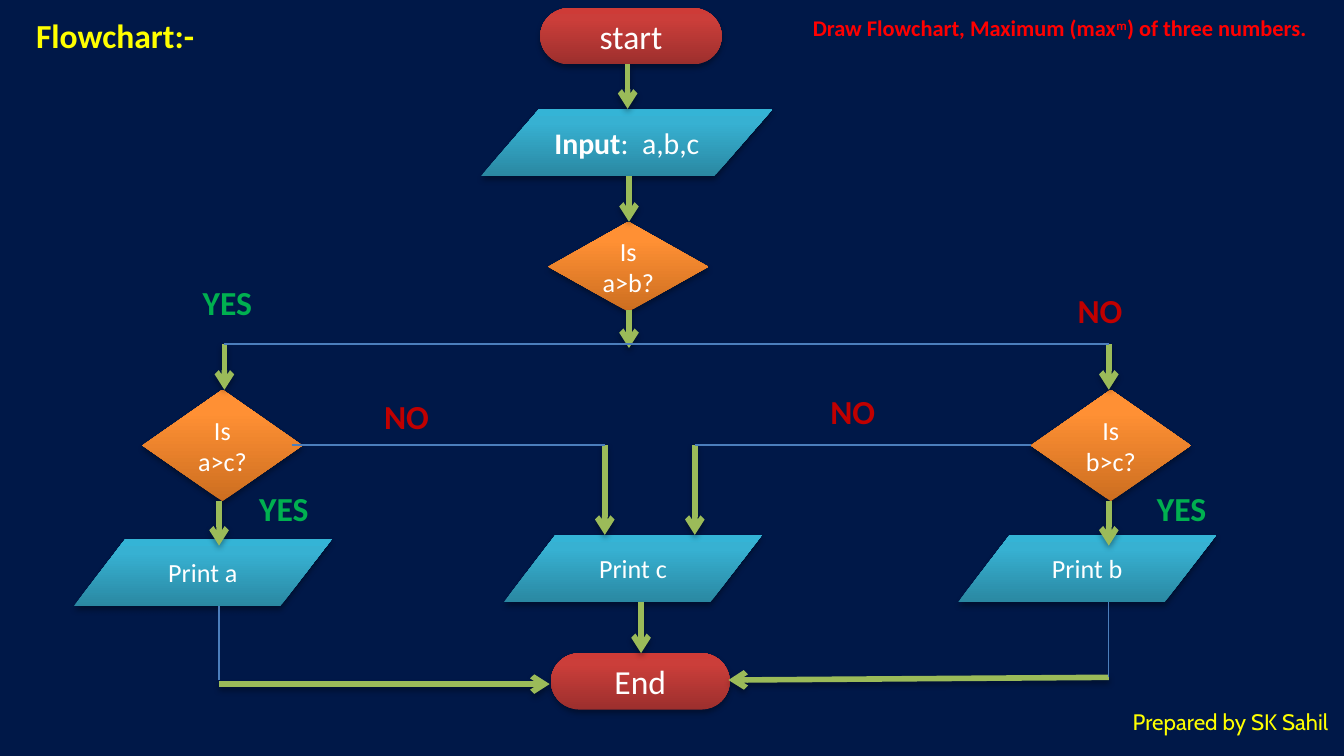
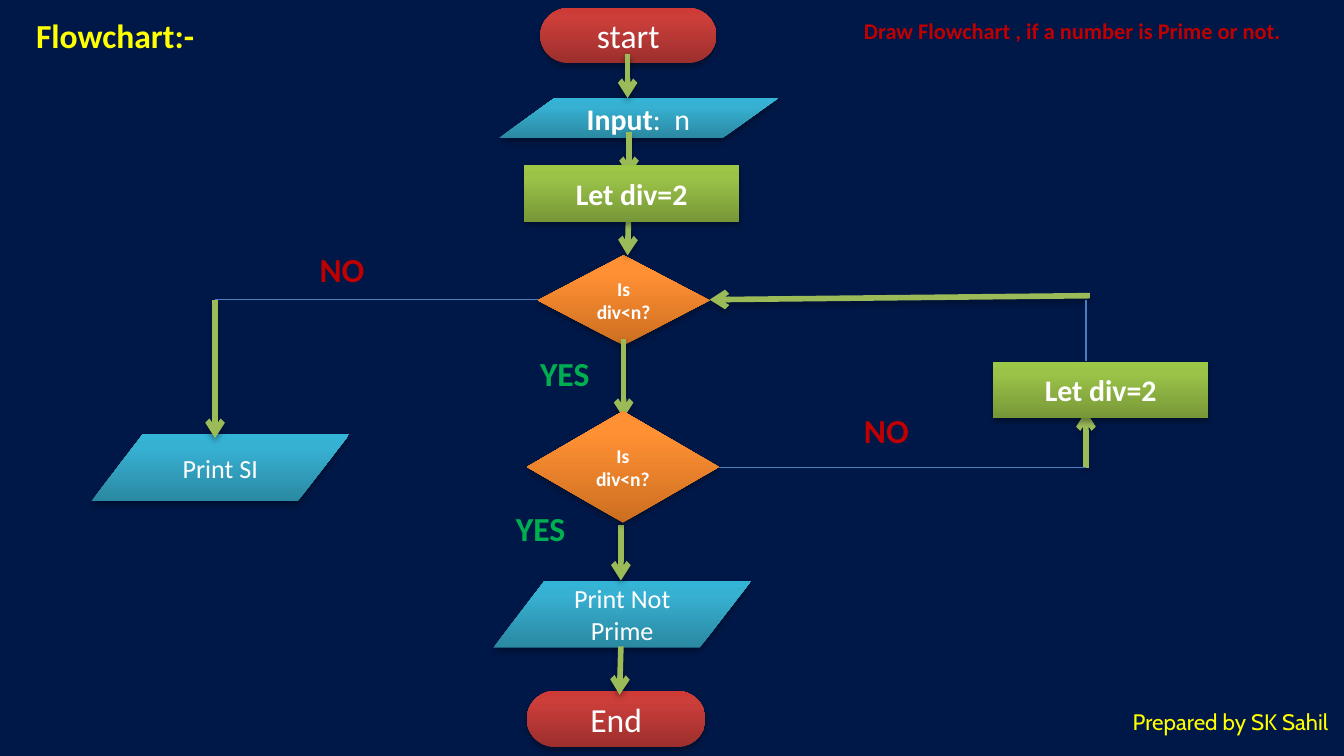
from dataclasses import dataclass

from lxml.etree import SubElement
from pptx import Presentation
from pptx.dml.color import RGBColor
from pptx.enum.shapes import MSO_CONNECTOR, MSO_SHAPE
from pptx.enum.text import MSO_ANCHOR, MSO_AUTO_SIZE, PP_ALIGN
from pptx.oxml import parse_xml
from pptx.oxml.ns import nsdecls, qn
from pptx.slide import Slide
from pptx.text.text import TextFrame
from pptx.util import Inches, Length, Pt

CELL = 0.1
COLUMNS, ROWS = 100, 56.25
BODY_FONT, CREDIT_FONT = "Calibri", "Cabin"
NAVY, WHITE, YELLOW = "001848", "FFFFFF", "FFFF00"
RED, DARK_RED, GREEN = "FF0000", "C00000", "00B050"
ARROW_GREEN, WIRE_BLUE = "9BBB59", "4B7EBC"
TERMINATOR = MSO_SHAPE.FLOWCHART_TERMINATOR
DATA = MSO_SHAPE.FLOWCHART_DATA
DECISION = MSO_SHAPE.FLOWCHART_DECISION
PROCESS = MSO_SHAPE.FLOWCHART_PROCESS
STRAIGHT = MSO_CONNECTOR.STRAIGHT
MIDDLE, CENTER = MSO_ANCHOR.MIDDLE, PP_ALIGN.CENTER
FIT_SHAPE = MSO_AUTO_SIZE.SHAPE_TO_FIT_TEXT


@dataclass(frozen=True)
class Span:
    """A stretch of text with one format."""
    text: str
    bold: bool = False
    baseline: int = 0


@dataclass(frozen=True)
class Kind:
    """The look of a flowchart symbol, gradient from bottom to top."""
    shape: MSO_SHAPE
    gradient: tuple[str, str, str]
    size: float


@dataclass(frozen=True)
class Node:
    """A flowchart symbol placed in grid cells."""
    kind: Kind
    left: float
    top: float
    width: float
    height: float
    spans: tuple[Span, ...]


@dataclass(frozen=True)
class Link:
    """A line between two grid points."""
    start: tuple[float, float]
    end: tuple[float, float]


@dataclass(frozen=True)
class Label:
    """Free text placed in grid cells."""
    left: float
    top: float
    width: float
    height: float
    spans: tuple[Span, ...]
    colour: str
    size: float = 18
    font: str = BODY_FONT


@dataclass(frozen=True)
class Chart:
    """Everything that one flowchart page holds."""
    heading: Label
    nodes: tuple[Node, ...]
    arrows: tuple[Link, ...]
    wires: tuple[Link, ...]
    yes: tuple[tuple[float, float], ...]
    no: tuple[tuple[float, float], ...]
    front_nodes: tuple[Node, ...] = ()


BLUE_RAMP = ("2A88A2", "37B1D2", "34B4D6")
ORANGE_RAMP = ("CC6E20", "FF9034", "FF9136")
END_POINT = Kind(TERMINATOR, ("9C2F2D", "CB3E3A", "CE3B37"), 18)
INPUT = Kind(DATA, BLUE_RAMP, 16)
PRINT = Kind(DATA, BLUE_RAMP, 14)
TEST = Kind(DECISION, ORANGE_RAMP, 14)
SMALL_TEST = Kind(DECISION, ORANGE_RAMP, 10.5)
STEP = Kind(PROCESS, ("779737", "9BC348", "9DC746"), 16)

SHARED_LABELS = (
    Label(83.3, 52.2, 16.7, 3, (Span("Prepared by SK Sahil"),), YELLOW, 12, CREDIT_FONT),
    Label(1.7, 0.6, 13.9, 4, (Span("Flowchart:-", True),), YELLOW),
)
DIV_TEST = (Span("Is div<n?", True),)
DIV_STEP = (Span("Let div=2", True),)


def down(column: float, top: float, bottom: float) -> Link:
    """Return a vertical link."""
    return Link((column, top), (column, bottom))


def across(row: float, left: float, right: float) -> Link:
    """Return a horizontal link."""
    return Link((left, row), (right, row))


def print_node(left: float, top: float, text: str) -> Node:
    """Return an output symbol of the common size."""
    return Node(PRINT, left, top, 19.2, 5, (Span(text),))


MAXIMUM = Chart(
    heading=Label(59.5, 0.6, 39.3, 3, (
        Span("Draw Flowchart, Maximum (max", True),
        Span("m", True, 30),
        Span(") of three numbers.", True)), RED, 12),
    nodes=(
        Node(END_POINT, 40.2, 0.6, 13.5, 4.2, (Span("start"),)),
        Node(INPUT, 35.8, 8.1, 21.7, 5, (Span("Input", True), Span(":  a,b,c"))),
        Node(TEST, 40.8, 16.5, 11.9, 6.7, (Span("Is a>b?"),)),
        Node(TEST, 10.6, 29, 11.9, 8.3, (Span("Is a>c?"),)),
        Node(TEST, 76.7, 29, 11.9, 8.3, (Span("Is b>c?"),)),
        print_node(5.5, 40.1, "Print a"),
        print_node(37.5, 39.8, "Print c"),
        print_node(71.3, 39.8, "Print b"),
        Node(END_POINT, 41, 48.6, 13.3, 4.2, (Span("End"),)),
    ),
    arrows=(
        down(46.7, 4.8, 8.1), down(46.8, 13.1, 16.5), down(46.8, 23.1, 25.9),
        down(16.7, 25.6, 29), down(82.5, 25.6, 29),
        down(16.3, 37.3, 40.6), down(82.5, 37.3, 40.6),
        down(45, 33.1, 39.8), down(51.7, 33.1, 39.8), down(47.7, 44.8, 48.6),
        across(50.9, 16.3, 40.9), Link((82.5, 50.4), (54.2, 50.6)),
    ),
    wires=(
        across(25.6, 16.7, 82.5), across(33.1, 21.7, 45), across(33.1, 51.7, 76.7),
        down(16.3, 45.1, 50.6), down(82.5, 44.8, 50.4),
    ),
    yes=((14.1, 20.5), (18.3, 35.8), (85.1, 35.8)),
    no=((27.6, 29), (79.2, 21.1), (60.8, 28.6)),
)

PRIME = Chart(
    heading=Label(63.3, 0.8, 33.5, 3, (
        Span("Draw Flowchart , if a number is Prime or not.", True),), DARK_RED, 12),
    nodes=(
        Node(END_POINT, 40.2, 0.6, 13.1, 4.1, (Span("start"),)),
        Node(INPUT, 37.1, 7.3, 20.8, 3, (Span("Input", True), Span(":  n"))),
        Node(SMALL_TEST, 40, 19, 12.8, 6.7, DIV_TEST),
        print_node(6.8, 32.3, "Print SI"),
        print_node(36.7, 43.2, "Print Not Prime"),
        Node(END_POINT, 39.2, 51.4, 13.3, 4.2, (Span("End"),)),
    ),
    arrows=(
        down(46.7, 4, 7.3), down(46.8, 9.8, 13.1), Link((46.8, 14.8), (46.7, 19)),
        down(46.4, 25.2, 31.1), down(46.2, 39.1, 43.2), Link((46.2, 48.1), (46.1, 51.7)),
        down(16, 22.3, 32.6), down(80.8, 34.8, 30.6), Link((81.1, 22), (52.8, 22.3)),
    ),
    wires=(across(22.3, 16, 40), across(34.8, 53.5, 80.8), down(80.8, 22.3, 26.9)),
    yes=((37.4, 37.3), (39.2, 25.8)),
    no=((22.8, 18), (63.3, 30)),
    front_nodes=(
        Node(STEP, 39, 12.3, 16, 4.2, DIV_STEP),
        Node(SMALL_TEST, 39.2, 30.6, 14.3, 8.3, DIV_TEST),
        Node(STEP, 73.9, 26.9, 16, 4.2, DIV_STEP),
    ),
)


def grid(*cells: float) -> list[Length]:
    """Convert grid cells to lengths."""
    return [Inches(cell * CELL) for cell in cells]


def rgb(colour: str) -> RGBColor:
    """Convert a hex string to a colour."""
    return RGBColor.from_string(colour)


def add_shadow(properties) -> None:
    """Append a soft downward shadow to shape properties."""
    properties.append(parse_xml(
        f'<a:effectLst {nsdecls("a")}><a:outerShdw blurRad="40000" dist="23000" '
        'dir="5400000" rotWithShape="0"><a:srgbClr val="000000">'
        '<a:alpha val="35000"/></a:srgbClr></a:outerShdw></a:effectLst>'))


def fill_gradient(properties, ramp: tuple[str, str, str]) -> None:
    """Fill a shape with a ramp that runs from bottom to top."""
    stops = "".join(
        f'<a:gs pos="{share * 1000}"><a:srgbClr val="{colour}"/></a:gs>'
        for share, colour in zip((0, 80, 100), ramp))
    properties.find(qn("a:prstGeom")).addnext(parse_xml(
        f'<a:gradFill {nsdecls("a")} rotWithShape="1"><a:gsLst>{stops}</a:gsLst>'
        '<a:lin ang="16200000" scaled="0"/></a:gradFill>'))


def write(frame: TextFrame, spans: tuple[Span, ...], size: float, colour: str,
          font: str = BODY_FONT) -> None:
    """Write spans into the first paragraph of a frame."""
    for span in spans:
        run = frame.paragraphs[0].add_run()
        run.text = span.text
        run.font.name = font
        run.font.size = Pt(size)
        run.font.bold = span.bold
        run.font.color.rgb = rgb(colour)
        if span.baseline:
            run.font._element.set("baseline", str(span.baseline * 1000))


def draw_node(page: Slide, node: Node) -> None:
    """Draw a flowchart symbol with centred text."""
    box = page.shapes.add_shape(
        node.kind.shape, *grid(node.left, node.top, node.width, node.height))
    properties = box._element.spPr
    fill_gradient(properties, node.kind.gradient)
    box.line.fill.background()
    add_shadow(properties)
    frame = box.text_frame
    frame.word_wrap = True
    frame.vertical_anchor = MIDDLE
    frame.paragraphs[0].alignment = CENTER
    write(frame, node.spans, node.kind.size, WHITE)


def draw_link(page: Slide, link: Link, arrow: bool) -> None:
    """Draw a thick arrow or a thin wire."""
    line = page.shapes.add_connector(STRAIGHT, *grid(*link.start, *link.end))
    line.line.color.rgb = rgb(ARROW_GREEN if arrow else WIRE_BLUE)
    line.line.width = Pt(3 if arrow else 0.75)
    properties = line._element.spPr
    if arrow:
        SubElement(properties.find(qn("a:ln")), qn("a:tailEnd"), type="arrow")
        add_shadow(properties)
    else:
        SubElement(properties, qn("a:effectLst"))


def draw_label(page: Slide, label: Label) -> None:
    """Draw a text box that fits its single line."""
    box = page.shapes.add_textbox(*grid(label.left, label.top, label.width, label.height))
    frame = box.text_frame
    frame.word_wrap = False
    frame.auto_size = FIT_SHAPE
    write(frame, label.spans, label.size, label.colour, label.font)


def draw_chart(page: Slide, chart: Chart) -> None:
    """Draw one flowchart page from back to front."""
    page.background.fill.solid()
    page.background.fill.fore_color.rgb = rgb(NAVY)
    for node in chart.nodes:
        draw_node(page, node)
    for links, arrow in ((chart.arrows, True), (chart.wires, False)):
        for link in links:
            draw_link(page, link, arrow)
    for label in (*SHARED_LABELS, chart.heading):
        draw_label(page, label)
    for places, text, width, colour in ((chart.yes, "YES", 5.7, GREEN),
                                        (chart.no, "NO", 5.4, DARK_RED)):
        for left, top in places:
            draw_label(page, Label(left, top, width, 4, (Span(text, True),), colour))
    for node in chart.front_nodes:
        draw_node(page, node)


def main() -> None:
    """Build and save the deck."""
    deck = Presentation()
    deck.slide_width, deck.slide_height = grid(COLUMNS, ROWS)
    for chart in (MAXIMUM, PRIME):
        draw_chart(deck.slides.add_slide(deck.slide_layouts[6]), chart)
    deck.save("out.pptx")


if __name__ == "__main__":
    main()
